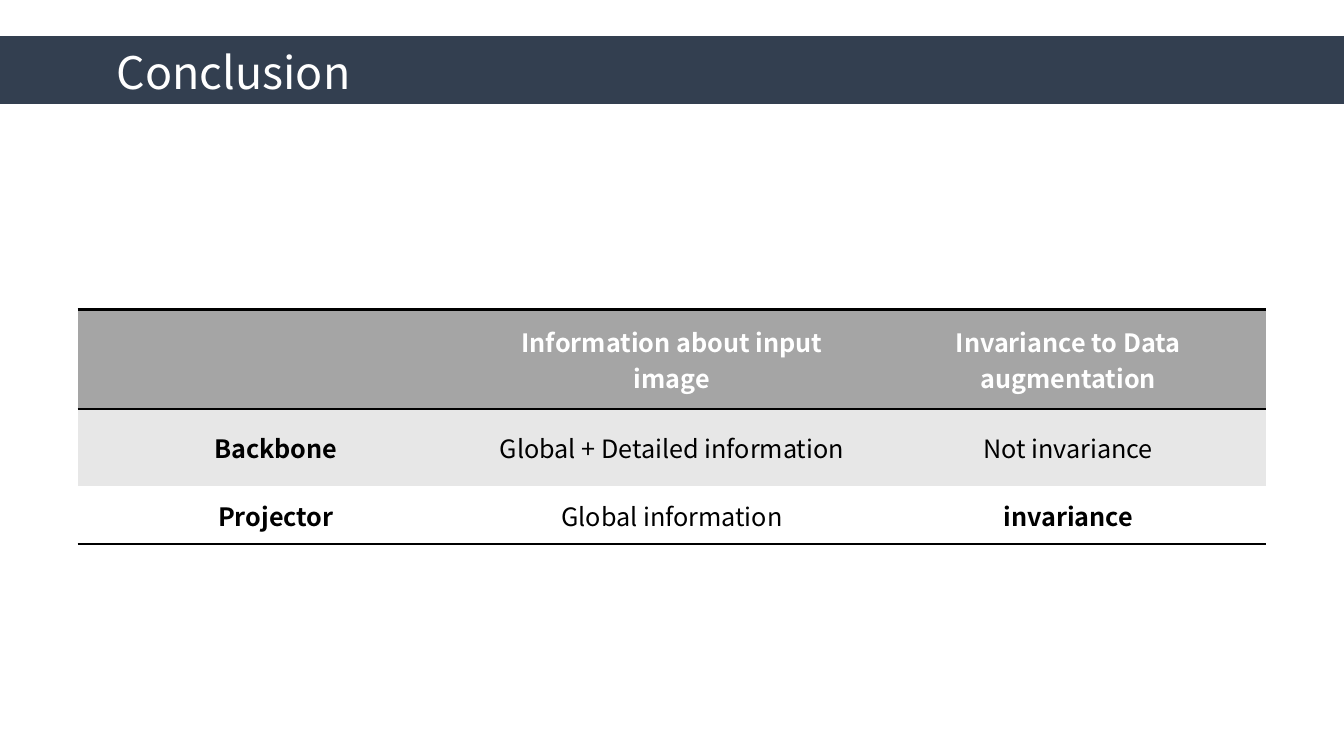
from lxml.etree import SubElement
from pptx import Presentation
from pptx.dml.color import RGBColor
from pptx.enum.shapes import MSO_SHAPE
from pptx.enum.text import MSO_ANCHOR, PP_ALIGN
from pptx.oxml.ns import qn
from pptx.util import Pt

FONT = "Noto Sans CJK KR"
NAVY = RGBColor(0x33, 0x3F, 0x50)
WHITE = RGBColor(0xFF, 0xFF, 0xFF)
BLACK = RGBColor(0, 0, 0)
HEADER_GRAY = RGBColor(0xA5, 0xA5, 0xA5)
BAND_GRAY = RGBColor(0xE7, 0xE7, 0xE7)

ROWS = [
    ["", "Information about input image", "Invariance to Data augmentation"],
    ["Backbone", "Global + Detailed information", "Not invariance"],
    ["Projector", "Global information", "invariance"],
]
ROW_HEIGHTS = [71.3, 54.7, 41.8]
ROW_FILLS = [HEADER_GRAY, BAND_GRAY, WHITE]
RULED_EDGES = [True, True, False, True]  # horizontal edges, top to bottom


def style_text(para, size, color, bold=False):
    para.font.name = FONT
    para.font.size = Pt(size)
    para.font.color.rgb = color
    para.font.bold = bold


def add_title_band(page, text, left, top, width, height):
    # Full-width bar
    band = page.shapes.add_shape(
        MSO_SHAPE.RECTANGLE, Pt(left), Pt(top), Pt(width), Pt(height))
    band.shadow.inherit = False
    band.fill.solid()
    band.fill.fore_color.rgb = NAVY
    band.line.color.rgb = NAVY
    band.line.width = Pt(1)

    # Title, resting on the bottom of the bar
    rise = 21.6
    box = page.shapes.add_textbox(
        Pt(left + 76.3), Pt(top - rise), Pt(743), Pt(height + rise))
    frame = box.text_frame
    frame.word_wrap = True
    frame.vertical_anchor = MSO_ANCHOR.BOTTOM
    frame.text = text
    para = frame.paragraphs[0]
    para.line_spacing = 0.9
    style_text(para, 32, WHITE)


def set_borders(cell, top, bottom):
    properties = cell._tc.get_or_add_tcPr()
    sides = [("a:lnL", False), ("a:lnR", False), ("a:lnT", top), ("a:lnB", bottom)]
    for side, ruled in sides:
        line = SubElement(properties, qn(side), w=str(Pt(2)))
        if ruled:
            fill = SubElement(line, qn("a:solidFill"))
            SubElement(fill, qn("a:srgbClr"), val=str(BLACK))
        else:
            SubElement(line, qn("a:noFill"))


def add_comparison_table(page, left, top, width):
    table = page.shapes.add_table(
        len(ROWS), len(ROWS[0]), Pt(left), Pt(top), Pt(width),
        Pt(sum(ROW_HEIGHTS))).table
    for column in table.columns:
        column.width = Pt(width / len(ROWS[0]))

    for row, texts in enumerate(ROWS):
        table.rows[row].height = Pt(ROW_HEIGHTS[row])
        for column, text in enumerate(texts):
            cell = table.cell(row, column)
            # Borders come before the fill in the cell properties
            set_borders(cell, RULED_EDGES[row], RULED_EDGES[row + 1])
            cell.fill.solid()
            cell.fill.fore_color.rgb = ROW_FILLS[row]
            cell.vertical_anchor = MSO_ANCHOR.MIDDLE
            cell.text = text
            para = cell.text_frame.paragraphs[0]
            para.alignment = PP_ALIGN.CENTER
            bold = row == 0 or column == 0 or text == "invariance"
            style_text(para, 18, WHITE if row == 0 else BLACK, bold)


def main():
    deck = Presentation()
    deck.slide_width = Pt(960)
    deck.slide_height = Pt(540)
    page = deck.slides.add_slide(deck.slide_layouts[6])
    add_title_band(page, "Conclusion", 0, 26.6, 960, 47.5)
    add_comparison_table(page, 55.5, 221, 849)
    deck.save("out.pptx")


if __name__ == "__main__":
    main()
